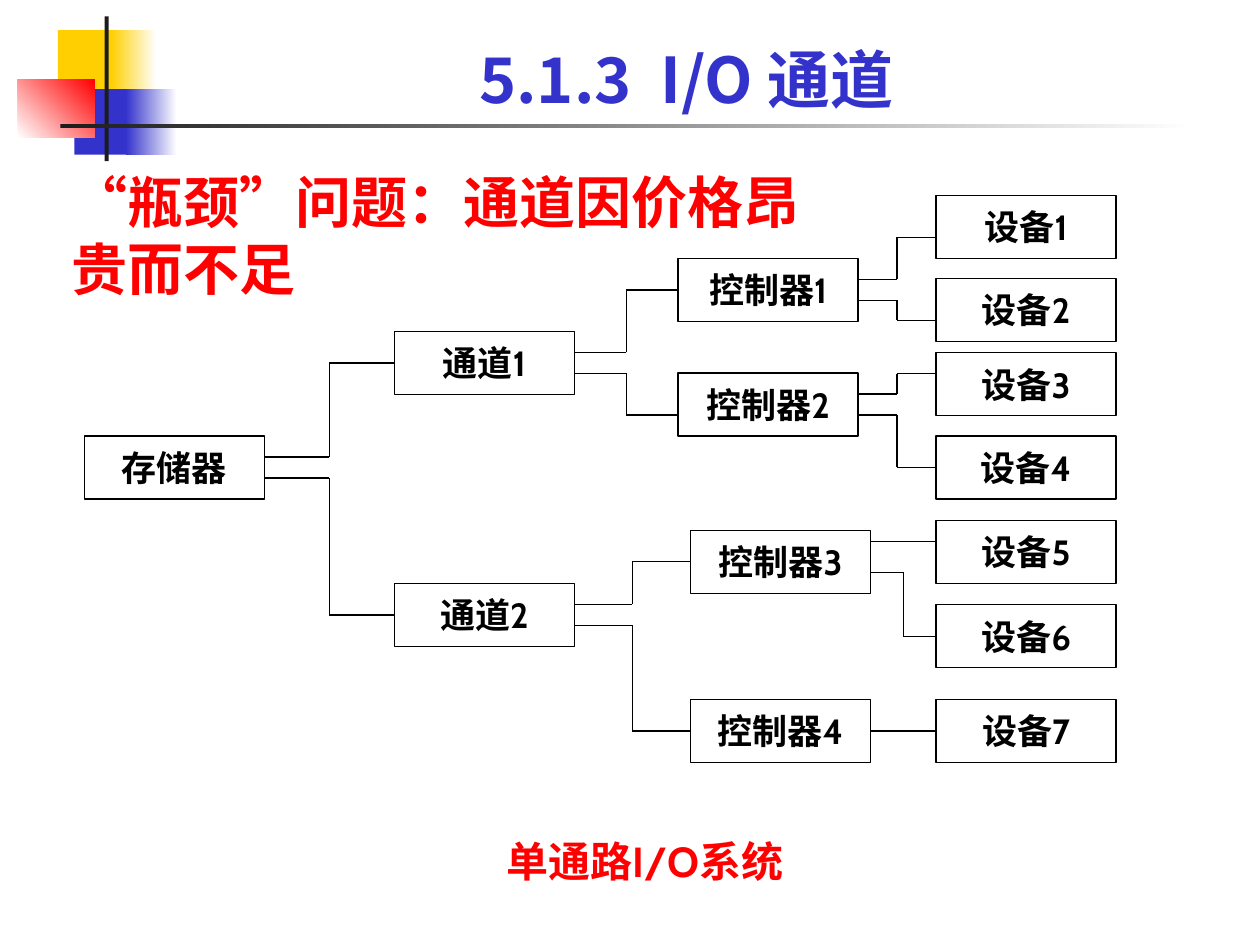
from lxml import etree
from pptx import Presentation
from pptx.dml.color import RGBColor
from pptx.enum import shapes, text
from pptx.oxml import ns
from pptx.util import Cm, Pt

HUES = {"gold": "FFCF01", "blue": "3333CC", "red": "FF0000",
        "dark": "1C1C1C", "black": "000000", "white": "FFFFFF"}
CJK = "Noto Sans CJK SC"
WIDE, HIGH = 3.63, 1.27

# Decoration: left, top, width, height, colours, angle
DECOR = [
    (1.17, 0.61, 1.22, 1.32, ["gold"], 0),
    (2.24, 0.61, 0.91, 1.32, ["gold", "white"], 0),
    (1.5, 1.8, 1.17, 1.32, ["blue"], 0),
    (2.54, 1.8, 1.02, 1.32, ["blue", "white"], 0),
    (0.36, 1.6, 1.55, 1.17, ["white", "red"], 45),
    (2.11, 0.33, 0.08, 2.92, ["dark"], 0),
    (1.22, 2.51, 22.86, 0.08, ["dark", "white"], 0),
]

# Columns of the tree: name stem, then left and top of each node
NODES = {
    "存储器": [(1.7, 8.79)],
    "通道": [(7.95, 6.68), (7.95, 11.76)],
    "控制器": [(13.67, 5.21), (13.67, 7.52), (13.92, 10.69), (13.92, 14.1)],
    "设备": [(18.87, y) for y in (3.94, 5.61, 7.11, 8.79, 10.49, 12.19, 14.1)],
}

# Parent, exit height, child, entry height; heights in sixths of a box
LINKS = [
    ("存储器", 2, "通道1", 3), ("存储器", 4, "通道2", 3),
    ("通道1", 2, "控制器1", 3), ("通道1", 4, "控制器2", 4),
    ("通道2", 2, "控制器3", 3), ("通道2", 4, "控制器4", 3),
    ("控制器1", 2, "设备1", 4), ("控制器1", 4, "设备2", 4),
    ("控制器2", 2, "设备3", 2), ("控制器2", 4, "设备4", 3),
    ("控制器3", 1, "设备5", 2), ("控制器3", 4, "设备6", 3),
    ("控制器4", 3, "设备7", 3),
]


def hue(name):
    return RGBColor.from_string(HUES[name])


class Board:
    def __init__(self, slide):
        self.slide = slide
        self.font = "Cabin"
        self.line = Pt(0.75)

    def letter(self, shape, words, size, color, font=None, align="CENTER"):
        """Put styled words in a shape and return their paragraph."""
        para = shape.text_frame.paragraphs[0]
        para.text = words
        para.alignment = text.PP_ALIGN[align]
        for run in para.runs:
            run.font.name = font or self.font
            run.font.size = Pt(size)
            run.font.bold = True
            run.font.color.rgb = hue(color)
            east = etree.SubElement(run.font._element, ns.qn("a:ea"))
            east.set("typeface", CJK)
        return para

    def rect(self, x, y, w, h):
        shape = self.slide.shapes.add_shape(
            shapes.MSO_SHAPE.RECTANGLE, Cm(x), Cm(y), Cm(w), Cm(h))
        shape.shadow.inherit = False
        return shape

    def patch(self, x, y, w, h, colors, angle):
        """Borderless block in one colour or a two-colour gradient."""
        shape = self.rect(x, y, w, h)
        shape.line.fill.background()
        if len(colors) == 1:
            shape.fill.solid()
            shape.fill.fore_color.rgb = hue(colors[0])
            return
        shape.fill.gradient()
        shape.fill.gradient_angle = angle
        for i, stop in enumerate(shape.fill.gradient_stops):
            stop.position = i
            stop.color.rgb = hue(colors[i])

    def node(self, x, y, words):
        shape = self.rect(x, y, WIDE, HIGH)
        shape.fill.solid()
        shape.fill.fore_color.rgb = hue("white")
        shape.line.color.rgb = hue("black")
        shape.line.width = self.line
        shape.text_frame.word_wrap = False
        shape.text_frame.vertical_anchor = text.MSO_ANCHOR.MIDDLE
        self.letter(shape, words, 20, "black")
        return shape

    def label(self, x, y, w, h, words, size, color, **style):
        """Add a text box and return it with its paragraph."""
        box = self.slide.shapes.add_textbox(Cm(x), Cm(y), Cm(w), Cm(h))
        box.text_frame.word_wrap = True
        return box, self.letter(box, words, size, color, **style)

    def wire(self, x1, y1, x2, y2):
        wire = self.slide.shapes.add_connector(
            shapes.MSO_CONNECTOR.STRAIGHT, x1, y1, x2, y2)
        wire.line.color.rgb = hue("black")
        wire.line.width = self.line
        etree.SubElement(wire._element.spPr, ns.qn("a:effectLst"))
        return wire

    def link(self, start, out, end, into):
        """Join two nodes by an elbow, or by one line if they are level."""
        x1, x2 = start.left + start.width, end.left
        y1 = start.top + start.height * out // 6
        y2 = end.top + end.height * into // 6
        if abs(y1 - y2) < Cm(0.05):
            first = last = self.wire(x1, y2, x2, y2)
        else:
            mid = (x1 + x2) // 2
            first = self.wire(x1, y1, mid, y1)
            self.wire(mid, y1, mid, y2)
            last = self.wire(mid, y2, x2, y2)
        if out == 3:
            first.begin_connect(start, 3)
        if into == 3:
            last.end_connect(end, 1)


def main():
    deck = Presentation()
    deck.slide_width, deck.slide_height = Cm(25.4), Cm(19.05)
    board = Board(deck.slides.add_slide(deck.slide_layouts[6]))

    for block in DECOR:
        board.patch(*block)

    title, _ = board.label(4.01, 0.33, 19.66, 2.01, "5.1.3  I/O 通道", 36,
                           "blue", font=CJK)
    frame = title.text_frame
    frame.vertical_anchor = text.MSO_ANCHOR.BOTTOM
    frame.margin_top = frame.margin_bottom = 0

    tree = {}
    for stem, spots in NODES.items():
        for i, (x, y) in enumerate(spots, 1):
            name = f"{stem}{i}" if len(spots) > 1 else stem
            tree[name] = board.node(x, y, name)
    for start, out, end, into in LINKS:
        board.link(tree[start], out, tree[end], into)

    _, para = board.label(6.55, 16.71, 12.9, 1.27, "单通路I/O系统", 24, "red")
    para.space_before = Pt(15)
    board.label(1.19, 3.25, 15.67, 2.97, "“瓶颈”问题：通道因价格昂贵而不足",
                32, "red", font="Times New Roman", align="LEFT")
    deck.save("out.pptx")


if __name__ == "__main__":
    main()
